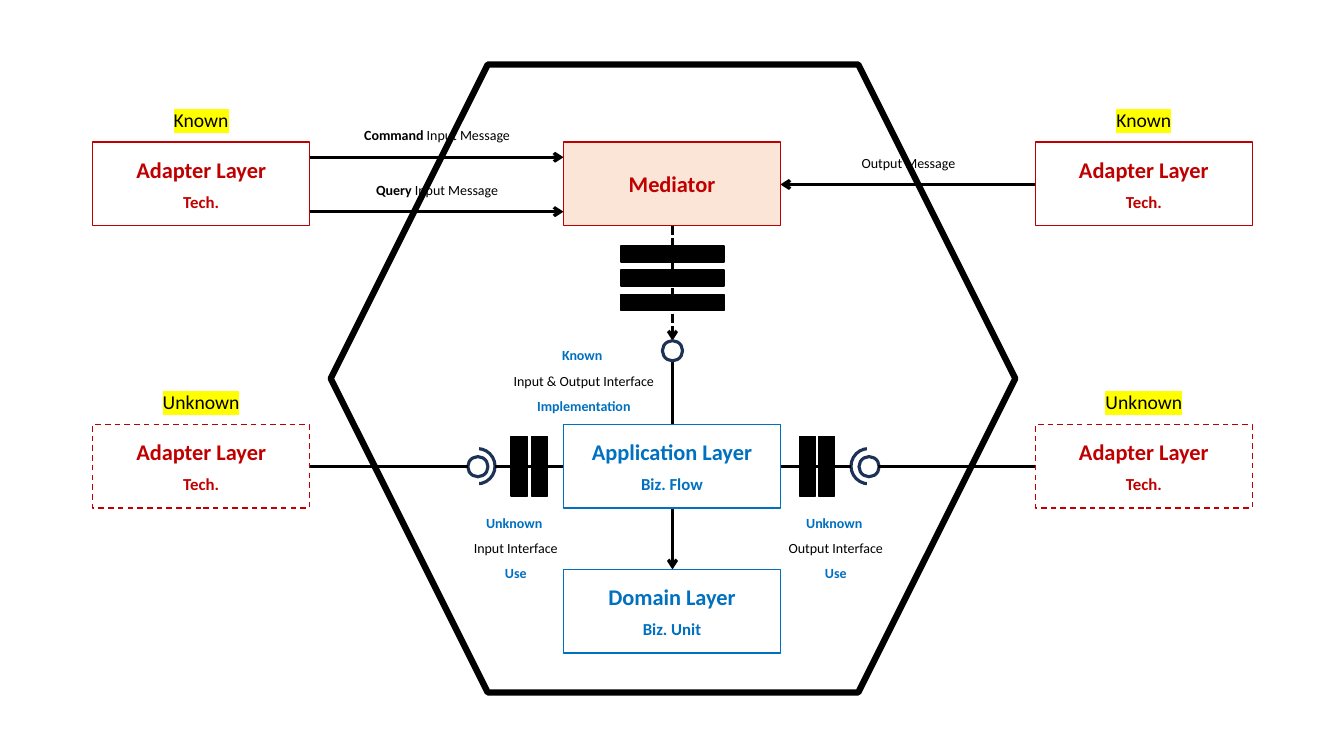
from lxml import etree
from pptx import Presentation
from pptx.dml.color import RGBColor
from pptx.enum import dml, shapes, text
from pptx.oxml.ns import qn
from pptx.util import Inches, Pt

COLORS = {"black": "000000", "white": "FFFFFF", "red": "C00000", "blue": "0070C0",
          "navy": "1E3256", "peach": "FBE5D6", "yellow": "FFFF00"}
RECT = shapes.MSO_SHAPE.RECTANGLE
OVAL = shapes.MSO_SHAPE.OVAL
DASH = dml.MSO_LINE.DASH
SYS_DASH = dml.MSO_LINE.SQUARE_DOT
BOX_W, BOX_H = 2.15, 0.83
LEFT, CENTER, RIGHT = 0.92, 5.59, 10.27
TOP, MIDDLE, BOTTOM = 1.41, 4.21, 5.65
AXIS_X, AXIS_Y = 6.67, 4.63

prs = Presentation()
prs.slide_width, prs.slide_height = Inches(13.33), Inches(7.5)
s = prs.slides.add_slide(prs.slide_layouts[6])


def add_outline(kind, x, y, w, h, line, fill=None, width=1, dash=None):
    """Draw a preset shape with a coloured outline and an optional fill."""
    sp = s.shapes.add_shape(kind, Inches(x), Inches(y), Inches(w), Inches(h))
    sp.shadow.inherit = False
    if fill:
        sp.fill.solid()
        sp.fill.fore_color.rgb = RGBColor.from_string(COLORS[fill])
    else:
        sp.fill.background()
    sp.line.color.rgb = RGBColor.from_string(COLORS[line])
    sp.line.width = Pt(width)
    if dash:
        sp.line.dash_style = dash


def add_label(paragraphs, x, y, w, h, size=10, spacing=None, highlight=None):
    """Add centred text; each paragraph is a list of (text, colour, bold) runs."""
    tf = s.shapes.add_textbox(Inches(x), Inches(y), Inches(w), Inches(h)).text_frame
    tf.word_wrap = False
    tf.auto_size = text.MSO_AUTO_SIZE.SHAPE_TO_FIT_TEXT
    for i, runs in enumerate(paragraphs):
        p = tf.paragraphs[0] if i == 0 else tf.add_paragraph()
        p.alignment = text.PP_ALIGN.CENTER
        p.line_spacing = spacing
        for words, color, bold in runs:
            r = p.add_run()
            r.text = words
            r.font.size, r.font.bold, r.font.name = Pt(size), bold, "Calibri"
            r.font.color.rgb = RGBColor.from_string(COLORS[color])
            if highlight:
                mark = etree.Element(qn("a:highlight"))
                etree.SubElement(mark, qn("a:srgbClr")).set("val", COLORS[highlight])
                r.font.fill._xPr.find(qn("a:solidFill")).addnext(mark)


# Sockets: a half ring around each port ring
for socket_x, mask_x in ((4.56, 4.34), (8.44, 8.61)):
    add_outline(OVAL, socket_x, 4.45, 0.35, 0.35, "navy", width=2.25)
    add_outline(RECT, mask_x, 4.31, 0.4, 0.63, "white", fill="white")
    add_outline(OVAL, socket_x + 0.08, 4.53, 0.2, 0.2, "navy", width=2.25)

# Connectors: start, end, arrowhead, dash
for x1, y1, x2, y2, arrow, dash in (
    (3.07, 1.56, CENTER, 1.56, True, None),
    (3.07, 2.1, CENTER, 2.1, True, None),
    (RIGHT, 1.83, 7.74, 1.83, True, None),
    (3.07, AXIS_Y, 4.64, AXIS_Y, False, None),
    (4.91, AXIS_Y, CENTER, AXIS_Y, False, None),
    (7.74, AXIS_Y, 8.44, AXIS_Y, False, None),
    (RIGHT, AXIS_Y, 8.71, AXIS_Y, False, None),
    (AXIS_X, MIDDLE, AXIS_X, 3.58, False, None),
    (AXIS_X, 2.24, AXIS_X, 3.38, True, SYS_DASH),
    (AXIS_X, 5.04, AXIS_X, BOTTOM, True, None),
):
    c = s.shapes.add_connector(shapes.MSO_CONNECTOR.STRAIGHT,
                               Inches(x1), Inches(y1), Inches(x2), Inches(y2))
    c.line.color.rgb = RGBColor.from_string(COLORS["black"])
    c.line.width = Pt(2.25)
    if dash:
        c.line.dash_style = dash
    if arrow:
        etree.SubElement(c.line._get_or_add_ln(), qn("a:tailEnd")).set("type", "arrow")
    etree.SubElement(c._element.spPr, qn("a:effectLst"))

# Layer boxes with title and subtitle
for x, y, title, subtitle, color, dash in (
    (LEFT, TOP, "Adapter Layer", "Tech.", "red", None),
    (RIGHT, TOP, "Adapter Layer", "Tech.", "red", None),
    (LEFT, MIDDLE, "Adapter Layer", "Tech.", "red", DASH),
    (RIGHT, MIDDLE, "Adapter Layer", "Tech.", "red", DASH),
    (CENTER, MIDDLE, "Application Layer", "Biz. Flow", "blue", None),
    (CENTER, BOTTOM, "Domain Layer", "Biz. Unit", "blue", None),
):
    add_outline(RECT, x, y, BOX_W, BOX_H, color, fill="white", dash=dash)
    add_label([[(title, color, True)]], x, y + 0.09, BOX_W, 0.37, size=16)
    add_label([[(subtitle, color, True)]], x, y + 0.44, BOX_W, 0.3, size=12)

add_outline(RECT, CENTER, TOP, BOX_W, BOX_H, "red", fill="peach")
add_label([[("Mediator", "red", True)]], CENTER, 1.64, BOX_W, 0.37, size=16)

for x in (LEFT, RIGHT):
    for status, y in (("Known", 1.02), ("Unknown", 3.82)):
        add_label([[(status, "black", False)]], x, y, BOX_W, 0.34, size=14,
                  highlight="yellow")

# Interface port and the bars across the connectors
add_outline(OVAL, 6.57, 3.38, 0.2, 0.2, "navy", fill="white", width=2.25)
for i in range(3):
    add_outline(RECT, 6.16, 2.44 + 0.24 * i, 1.02, 0.16, "black", fill="black")
for x in (5.07, 5.27, 7.93, 8.12):
    add_outline(RECT, x, 4.33, 0.16, 0.59, "black", fill="black")

# Messages and interface notes
add_label([[("Command", "black", True), (" Input Message", "black", False)]],
          3.5, 1.21, 1.67, 0.27)
add_label([[("Query ", "black", True), ("Input Message", "black", False)]],
          3.62, 1.75, 1.43, 0.27)
add_label([[("Output Message", "black", False)]], 8.44, 1.48, 1.14, 0.27)

for status, interface, role, x, y, w in (
    ("Known ", "Input & Output Interface", "Implementation", 4.98, 3.31, 1.62),
    ("Unknown ", "Input Interface", "Use", 4.59, 4.97, 1.05),
    ("Unknown ", "Output Interface", "Use", 7.71, 4.97, 1.16),
):
    add_label([[(status, "blue", True)], [(interface, "black", False)],
               [(role, "blue", True)]], x, y, w, 0.86, spacing=1.5)

add_outline(shapes.MSO_SHAPE.HEXAGON, 3.28, 0.64, 6.79, 6.23, "black", width=4.5)

prs.save("out.pptx")
